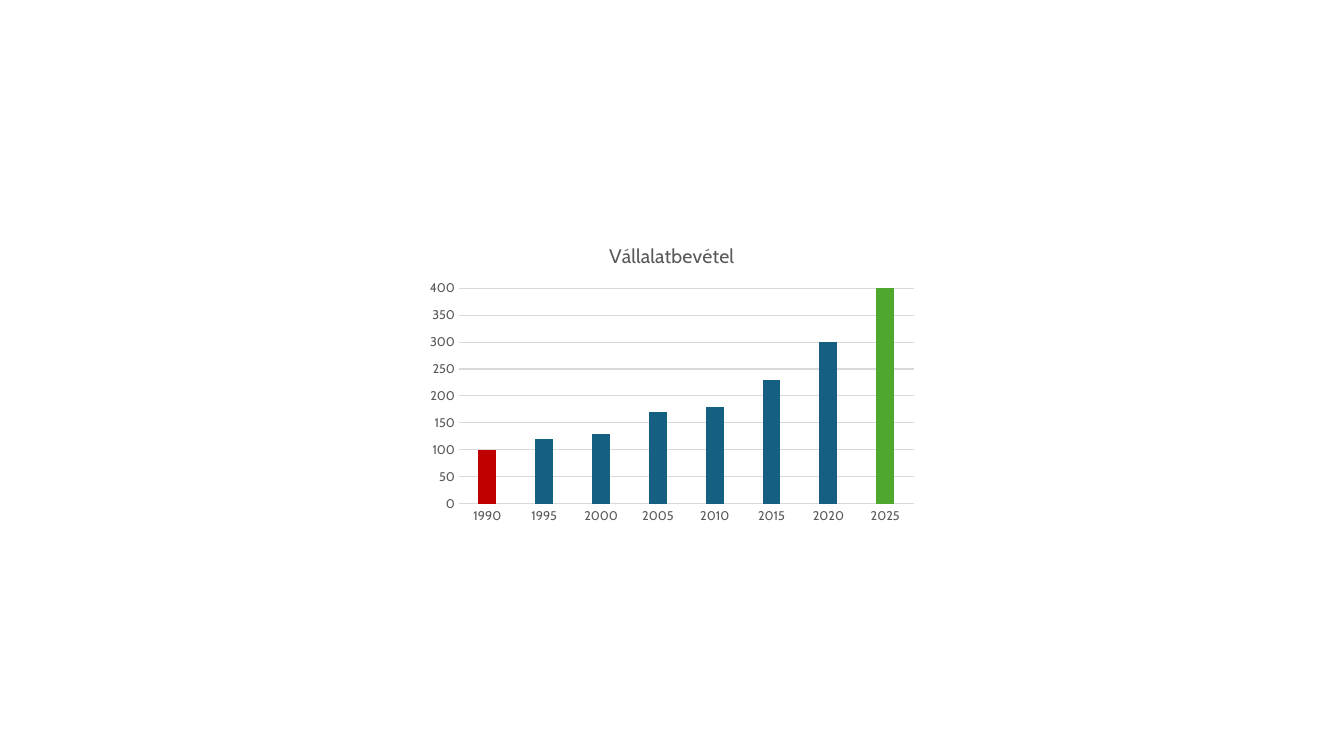
from pptx import Presentation
from pptx.chart.data import CategoryChartData
from pptx.dml.color import RGBColor
from pptx.enum.chart import XL_CHART_TYPE as ChartType, XL_TICK_MARK as Tick
from pptx.util import Cm, Pt

FONT = "Cabin"
GREY = RGBColor(0x59, 0x59, 0x59)
LIGHT_GREY = RGBColor(0xD9, 0xD9, 0xD9)
BLUE = RGBColor(0x15, 0x60, 0x82)
RED = RGBColor(0xC0, 0x00, 0x00)
GREEN = RGBColor(0x4E, 0xA7, 0x2E)

YEARS = [str(year) for year in range(1990, 2026, 5)]
REVENUE = [100, 120, 130, 170, 180, 230, 300, 400]


def style_font(font, size):
    font.name = FONT
    font.size = Pt(size)
    font.bold = False
    font.color.rgb = GREY


def style_line(line):
    line.color.rgb = LIGHT_GREY
    line.width = Pt(0.75)


def fill_solid(fill, color):
    fill.solid()
    fill.fore_color.rgb = color


def add_title(chart, text):
    chart.has_title = True
    p = chart.chart_title.text_frame.paragraphs[0]
    r = p.add_run()
    r.text = text
    style_font(r.font, 14)
    chart.chart_title.include_in_layout = False


def style_axes(chart):
    for axis in (chart.category_axis, chart.value_axis):
        axis.major_tick_mark = axis.minor_tick_mark = Tick.NONE
        style_font(axis.tick_labels.font, 9)
    style_line(chart.category_axis.format.line)

    values = chart.value_axis
    values.minimum_scale, values.maximum_scale = 0, 400
    values.major_unit = 50
    values.format.line.fill.background()
    values.has_major_gridlines = True
    style_line(values.major_gridlines.format.line)


def style_bars(plot):
    """Colour the bars, with the first and last year set apart."""
    plot.gap_width = 219
    plot.overlap = -27
    plot.vary_by_categories = False
    series = plot.series[0]
    series.invert_if_negative = False
    fill_solid(series.format.fill, BLUE)
    for index, color in ((0, RED), (len(YEARS) - 1, GREEN)):
        fill_solid(series.points[index].format.fill, color)


def add_revenue_chart(s):
    data = CategoryChartData()
    data.categories = YEARS
    data.add_series("Series 1", REVENUE)
    chart = s.shapes.add_chart(ChartType.COLUMN_CLUSTERED, Cm(10.58), Cm(5.72),
                               Cm(12.7), Cm(7.62), data).chart
    chart.has_legend = False
    style_font(chart.font, 10)
    add_title(chart, "Vállalatbevétel")
    style_axes(chart)
    style_bars(chart.plots[0])


def main():
    prs = Presentation()
    prs.slide_width, prs.slide_height = Cm(33.87), Cm(19.05)
    s = prs.slides.add_slide(prs.slide_layouts[6])
    add_revenue_chart(s)
    prs.save("out.pptx")


if __name__ == "__main__":
    main()
